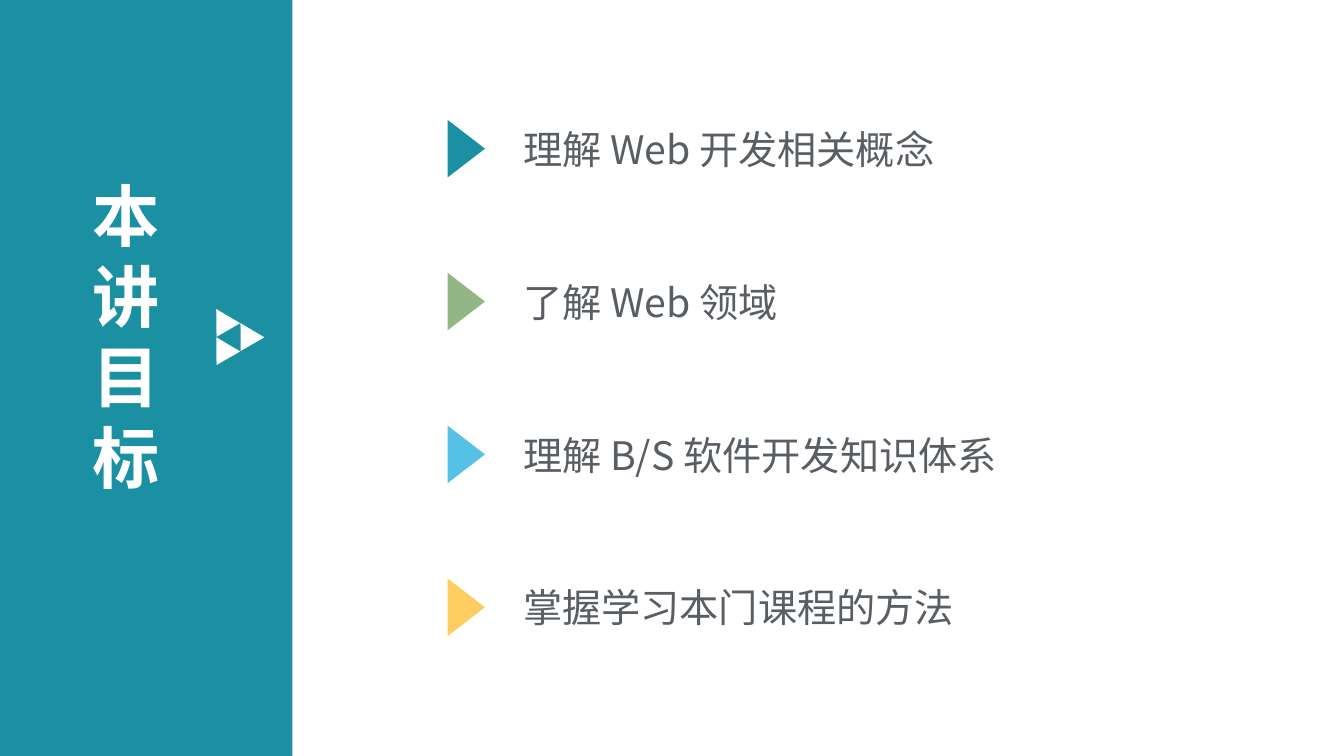
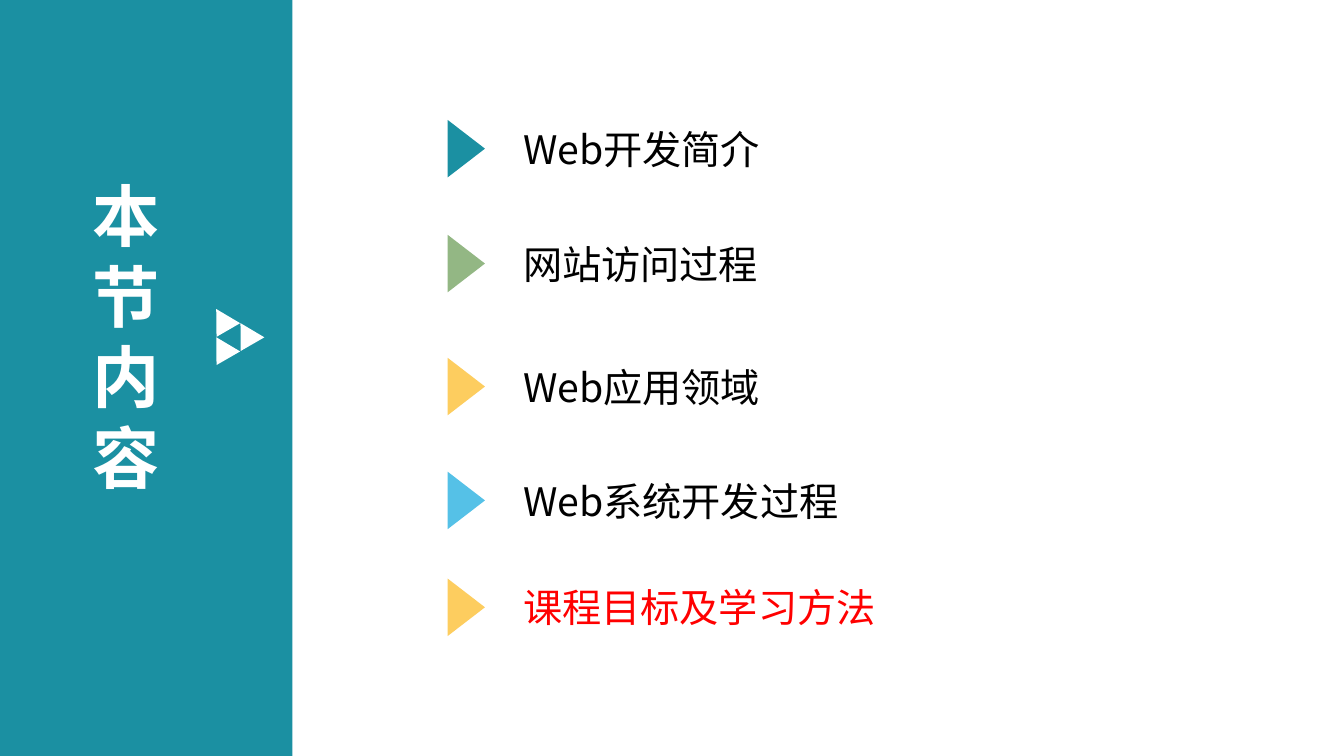
"""Build the goals and contents slides of a Web development lecture."""
from dataclasses import dataclass

import pptx
import pptx.dml.color
import pptx.enum.shapes
import pptx.enum.text
import pptx.oxml
import pptx.oxml.ns
import pptx.util

Inches = pptx.util.Inches


@dataclass(frozen=True)
class Theme:
    """Colours, type and grid shared by the slides."""
    font: str = "Noto Sans CJK SC"
    teal: str = "1B90A2"
    green: str = "93B784"
    blue: str = "55C1E7"
    yellow: str = "FDCD5F"
    white: str = "FFFFFF"
    grey: str = "595E64"
    black: str = "000000"
    red: str = "FF0000"
    title_size: float = 48
    title_pitch: float = 57.6
    item_size: float = 28
    width: float = 13.33
    height: float = 7.5
    band_width: float = 2.9
    marker_column: float = 4.34
    text_column: float = 5.09
    first_row: float = 1.19
    last_row: float = 5.74
    row_height: float = 0.57


THEME = Theme()


def rgb(colour):
    """Return a colour object for a hex string."""
    return pptx.dml.color.RGBColor.from_string(colour)


def add_filled(slide, preset, box, colour, rotation=0):
    """Add a flat preset shape without outline or shadow."""
    shape = slide.shapes.add_shape(preset, *map(Inches, box))
    shape.shadow.inherit = False
    shape.fill.solid()
    shape.fill.fore_color.rgb = rgb(colour)
    shape.line.fill.background()
    shape.rotation = rotation
    return shape


def write(frame, text, size, colour, bold=False):
    """Write one left-aligned paragraph in the theme font."""
    frame.word_wrap = True
    frame.margin_left = frame.margin_right = Inches(0.1)
    frame.margin_top = frame.margin_bottom = Inches(0.05)
    paragraph = frame.paragraphs[0]
    paragraph.text = text
    paragraph.alignment = pptx.enum.text.PP_ALIGN.LEFT
    font = paragraph.font
    font.size = pptx.util.Pt(size)
    font.bold = bold
    font.color.rgb = rgb(colour)
    font.name = THEME.font
    east_asian = pptx.oxml.parse_xml(
        f'<a:ea {pptx.oxml.ns.nsdecls("a")} typeface="{THEME.font}"/>')
    paragraph.runs[0].font.name = THEME.font
    paragraph.runs[0].font.language_id = pptx.enum.lang.MSO_LANGUAGE_ID.SIMPLIFIED_CHINESE \
        if hasattr(pptx.enum, "lang") else None
    paragraph.runs[0].font._element.append(east_asian)
    return paragraph


def decorate_layout(layout, slide):
    """Put the side band and its arrow emblem on the shared layout."""
    presets = pptx.enum.shapes.MSO_SHAPE
    decorations = [add_filled(slide, presets.RECTANGLE,
                              (0, 0, THEME.band_width, THEME.height), THEME.teal)]
    for left, top in ((2.07, 3.05), (2.07, 3.33), (2.31, 3.19)):
        decorations.append(add_filled(slide, presets.ISOSCELES_TRIANGLE,
                                      (left, top, 0.27, 0.24), THEME.white, 330))
    first_placeholder = layout.placeholders[0].element
    for number, shape in enumerate(decorations, start=100):
        shape.element.nvSpPr.cNvPr.set("id", str(number))
        first_placeholder.addprevious(shape.element)


def set_title(slide, text):
    """Stack the title's characters in the side band."""
    title = slide.shapes.title
    title.left, title.top, title.width, title.height = map(
        Inches, (0.82, 1.68, 0.92, 3.33))
    paragraph = write(title.text_frame, text, THEME.title_size, THEME.white, True)
    paragraph.line_spacing = pptx.util.Pt(THEME.title_pitch)
    title.text_frame.vertical_anchor = pptx.enum.text.MSO_ANCHOR.TOP
    title.text_frame.auto_size = pptx.enum.text.MSO_AUTO_SIZE.NONE


def add_item(slide, top, text, marker_colour, text_colour):
    """Add one list row: a triangle marker and its text."""
    length, depth = THEME.row_height, 0.37
    marker_top = top + (THEME.row_height - depth) / 2
    add_filled(slide, pptx.enum.shapes.MSO_SHAPE.ISOSCELES_TRIANGLE,
               (THEME.marker_column, marker_top, length, depth), marker_colour, 90)
    label = slide.shapes.add_textbox(*map(Inches, (
        THEME.text_column, top, THEME.width * 0.4, THEME.row_height)))
    write(label.text_frame, text, THEME.item_size, text_colour)
    label.text_frame.vertical_anchor = pptx.enum.text.MSO_ANCHOR.MIDDLE


def even_rows(count):
    """Return equally spaced row tops."""
    step = (THEME.last_row - THEME.first_row) / (count - 1)
    return [THEME.first_row + step * row for row in range(count)]


def add_list_slide(deck, layout, title, tops, items):
    """Add a slide with a title and a list of marked rows."""
    slide = deck.slides.add_slide(layout)
    set_title(slide, title)
    for top, item in zip(tops, items):
        add_item(slide, top, *item)
    return slide


def main():
    """Build and save the deck."""
    deck = pptx.Presentation()
    deck.slide_width, deck.slide_height = Inches(THEME.width), Inches(THEME.height)
    title_only = deck.slide_layouts[5]
    goals = add_list_slide(deck, title_only, "本讲目标", even_rows(4), (
        ("理解 Web 开发相关概念", THEME.teal, THEME.grey),
        ("了解 Web 领域", THEME.green, THEME.grey),
        ("理解 B/S 软件开发知识体系", THEME.blue, THEME.grey),
        ("掌握学习本门课程的方法", THEME.yellow, THEME.grey),
    ))
    decorate_layout(title_only, goals)
    content_rows = (THEME.first_row, 2.33, 3.55, 4.68, THEME.last_row)
    add_list_slide(deck, title_only, "本节内容", content_rows, (
        ("Web开发简介", THEME.teal, THEME.black),
        ("网站访问过程", THEME.green, THEME.black),
        ("Web应用领域", THEME.yellow, THEME.black),
        ("Web系统开发过程", THEME.blue, THEME.black),
        ("课程目标及学习方法", THEME.yellow, THEME.red),
    ))
    deck.save("out.pptx")


if __name__ == "__main__":
    main()
